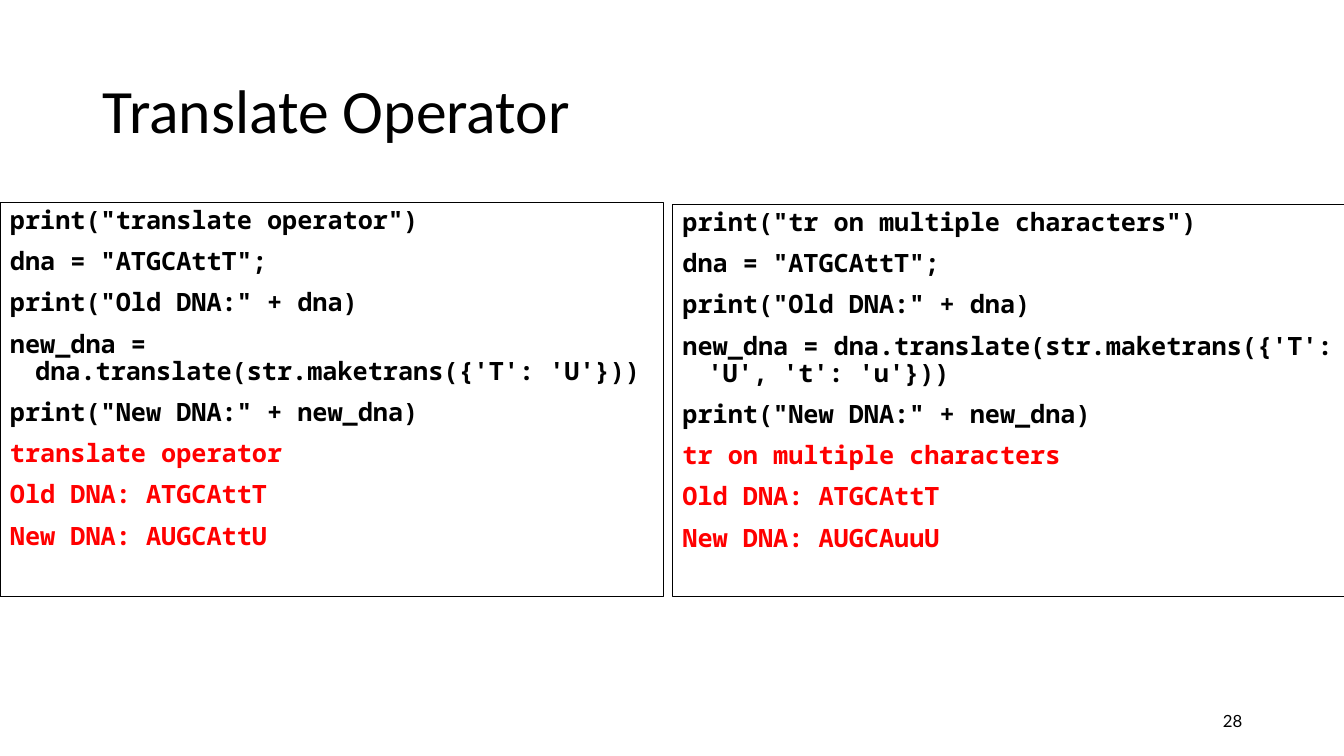
from dataclasses import dataclass

from pptx import Presentation
from pptx.dml.color import RGBColor
from pptx.enum.shapes import MSO_SHAPE
from pptx.enum.text import MSO_ANCHOR, MSO_AUTO_SIZE, PP_ALIGN
from pptx.util import Inches, Pt

RECTANGLE = MSO_SHAPE.RECTANGLE
TOP, MIDDLE = MSO_ANCHOR.TOP, MSO_ANCHOR.MIDDLE
NO_AUTOFIT = MSO_AUTO_SIZE.NONE
LEFT, RIGHT = PP_ALIGN.LEFT, PP_ALIGN.RIGHT
TITLE_ONLY = 5
BLACK, RED = "000000", "FF0000"
HANGING = Inches(0.25)


@dataclass
class CodePanel:
    left: float
    top: float
    width: float
    height: float
    heading: str
    mapping: str
    new_dna: str

    def code(self) -> list[str]:
        return [
            f'print("{self.heading}")',
            'dna = "ATGCAttT";',
            'print("Old DNA:" + dna)',
            f"new_dna = dna.translate(str.maketrans({{{self.mapping}}}))",
            'print("New DNA:" + new_dna)',
        ]

    def output(self) -> list[str]:
        return [self.heading, "Old DNA: ATGCAttT", f"New DNA: {self.new_dna}"]


PANELS = [
    CodePanel(0, 2.01, 6.58, 3.91, "translate operator", "'T': 'U'", "AUGCAttU"),
    CodePanel(6.67, 2.03, 6.67, 3.89, "tr on multiple characters",
              "'T': 'U', 't': 'u'", "AUGCAuuU"),
]


def color(value: str) -> RGBColor:
    return RGBColor.from_string(value)


def place(shape, left: float, top: float, width: float, height: float) -> None:
    shape.left, shape.top = Inches(left), Inches(top)
    shape.width, shape.height = Inches(width), Inches(height)


def set_frame(frame, anchor) -> None:
    frame.word_wrap = True
    frame.auto_size = NO_AUTOFIT
    frame.vertical_anchor = anchor


def write(para, text: str, *, font: str, size: float, fill: str = BLACK,
          bold: bool = False, align=LEFT, line_spacing: float = 1.0,
          before: float = 0, hanging: int = 0) -> None:
    para.alignment = align
    para.line_spacing = line_spacing
    para.space_before = Pt(before)
    if hanging:
        properties = para._p.get_or_add_pPr()
        properties.set("marL", str(hanging))
        properties.set("indent", str(-hanging))
    span = para.add_run()
    span.text = text
    span.font.name = font
    span.font.size = Pt(size)
    span.font.bold = bold
    span.font.color.rgb = color(fill)


def draw_panel(page, panel: CodePanel) -> None:
    box = page.shapes.add_shape(
        RECTANGLE, Inches(panel.left), Inches(panel.top),
        Inches(panel.width), Inches(panel.height))
    box.shadow.inherit = False
    box.fill.background()
    box.line.color.rgb = color(BLACK)
    box.line.width = Pt(0.75)
    frame = box.text_frame
    set_frame(frame, TOP)
    lines = [(text, BLACK) for text in panel.code()]
    lines += [(text, RED) for text in panel.output()]
    for index, (text, fill) in enumerate(lines):
        para = frame.add_paragraph() if index else frame.paragraphs[0]
        write(para, text, font="Noto Sans Mono", size=18, fill=fill, bold=True,
              line_spacing=0.9, before=10, hanging=HANGING)


deck = Presentation()
deck.slide_width, deck.slide_height = Inches(13.33), Inches(7.5)
page = deck.slides.add_slide(deck.slide_layouts[TITLE_ONLY])

# Title
title = page.shapes.title
place(title, 0.92, 0.4, 11.5, 1.45)
set_frame(title.text_frame, MIDDLE)
write(title.text_frame.paragraphs[0], "Translate Operator",
      font="Calibri", size=44, line_spacing=0.9)

# Code with its output
for panel in PANELS:
    draw_panel(page, panel)

# Slide number
number = page.shapes.add_textbox(Inches(9.42), Inches(6.95), Inches(3), Inches(0.4))
set_frame(number.text_frame, MIDDLE)
write(number.text_frame.paragraphs[0], "28", font="Lato", size=12, align=RIGHT)

deck.save("out.pptx")
